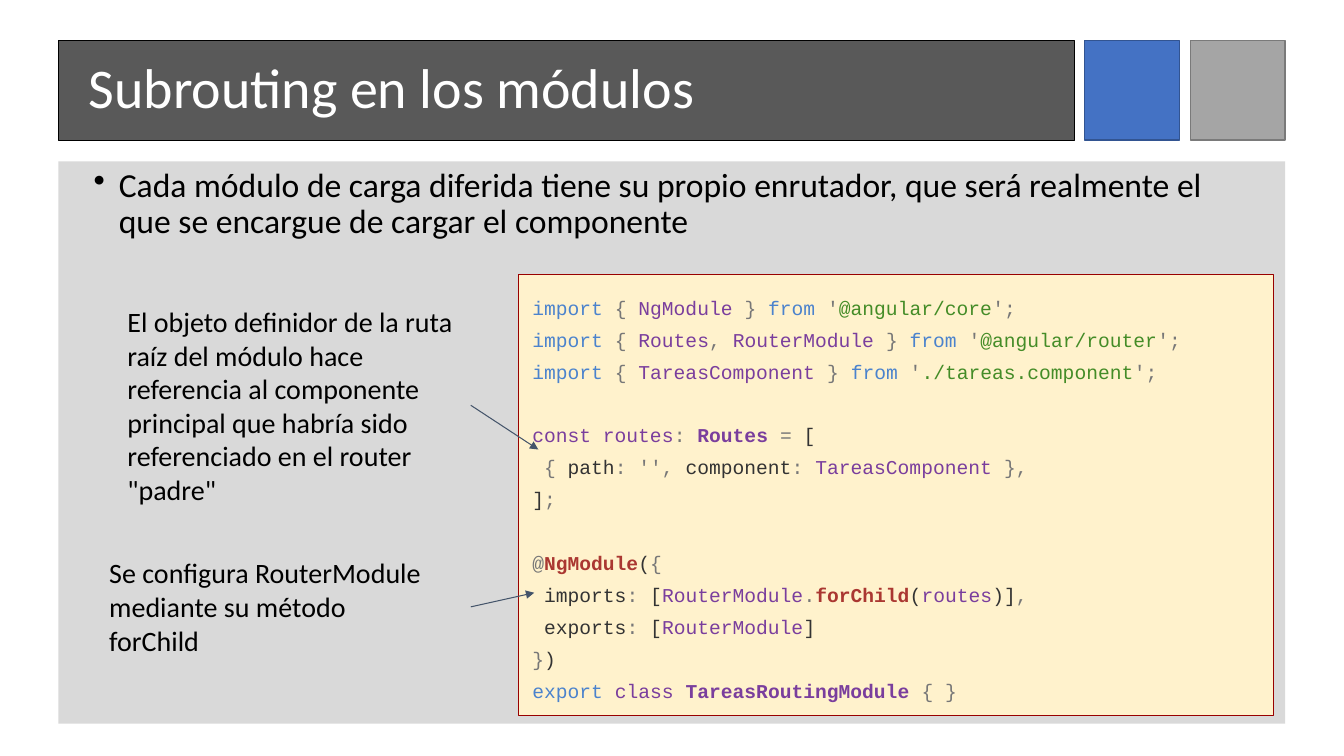
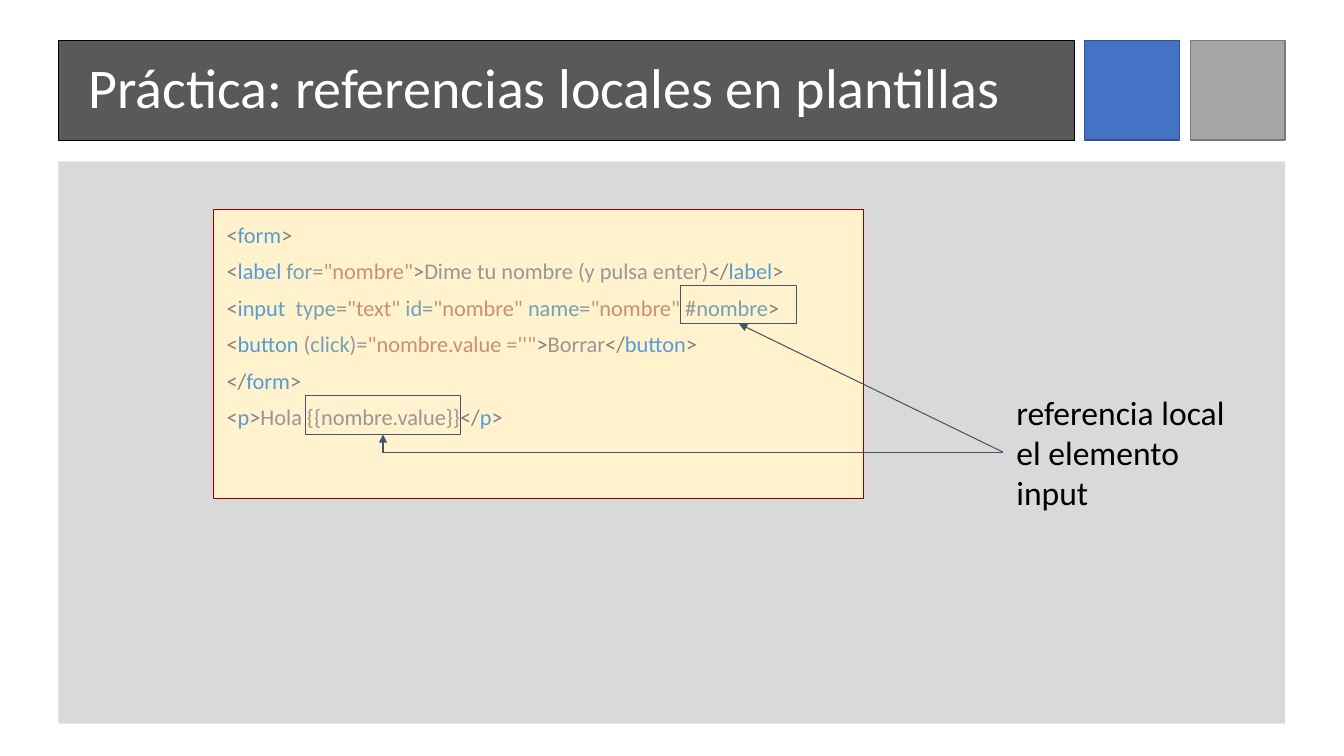
from dataclasses import dataclass
from typing import NamedTuple

from pptx import Presentation
from pptx.dml.color import RGBColor
from pptx.enum import shapes, text
from pptx.oxml import ns, xmlchemy
from pptx.util import Pt

WHITE = RGBColor(0xFF, 0xFF, 0xFF)
BLACK = RGBColor(0x00, 0x00, 0x00)
BAND = RGBColor(0x59, 0x59, 0x59)
PANEL = RGBColor(0xD9, 0xD9, 0xD9)
BLUE = RGBColor(0x44, 0x72, 0xC4)
NAVY = RGBColor(0x32, 0x54, 0x91)
SILVER = RGBColor(0xA5, 0xA5, 0xA5)
STONE = RGBColor(0x7A, 0x7A, 0x7A)
CREAM = RGBColor(0xFF, 0xF2, 0xCC)
WINE = RGBColor(0x98, 0x00, 0x00)
SLATE = RGBColor(0x44, 0x54, 0x6A)

# TypeScript colours
KEY = RGBColor(0x4B, 0x83, 0xCD)
MARK = RGBColor(0x77, 0x77, 0x77)
TYPE = RGBColor(0x7A, 0x3E, 0x9D)
QUOTE = RGBColor(0x44, 0x8C, 0x27)
PLAIN = RGBColor(0x33, 0x33, 0x33)
CALL = RGBColor(0xAA, 0x37, 0x31)

# HTML colours
EDGE = RGBColor(0x80, 0x80, 0x80)
TAG = RGBColor(0x56, 0x9C, 0xD6)
ATTR = RGBColor(0x72, 0xA1, 0xBA)
BODY = RGBColor(0x97, 0x97, 0x97)
VALUE = RGBColor(0xCA, 0x8F, 0x76)

SANS, MONO = "Calibri", "Courier New"
INSET = 9.6
TOP, MIDDLE = text.MSO_ANCHOR.TOP, text.MSO_ANCHOR.MIDDLE
TOP_SIDE, LEFT_SIDE, BOTTOM_SIDE, RIGHT_SIDE = range(4)


class Box(NamedTuple):
    x: float
    y: float
    w: float
    h: float


class Run(NamedTuple):
    text: str
    color: RGBColor
    bold: bool = False


@dataclass
class Row:
    runs: list[Run]
    gap: float = 0


@dataclass
class Tile:
    box: Box
    fill: RGBColor
    line: RGBColor | None = None
    width: float = 1


TITLE = Tile(Box(41.75, 28.8, 725.75, 71.3), BAND, BLACK, 0.5)
TILES = [
    Tile(Box(850.3, 28.8, 67.7, 71.3), SILVER, STONE),
    Tile(Box(774.7, 28.8, 67.7, 71.3), BLUE, NAVY),
    Tile(Box(41.75, 115.2, 876.25, 401.75), PANEL),
]


def draw(page, box: Box, fill=None, line=None, width: float = 0.75):
    shape = page.shapes.add_shape(shapes.MSO_SHAPE.RECTANGLE, *map(Pt, box))
    shape.shadow.inherit = False
    if fill is None:
        shape.fill.background()
    else:
        shape.fill.solid()
        shape.fill.fore_color.rgb = fill
    if line is None:
        shape.line.fill.background()
    else:
        shape.line.color.rgb = line
        shape.line.width = Pt(width)
    return shape


def pad(shape, inset: float, anchor=MIDDLE):
    frame = shape.text_frame
    frame.word_wrap = True
    frame.vertical_anchor = anchor
    frame.margin_left = frame.margin_right = Pt(inset)
    frame.margin_top = frame.margin_bottom = Pt(inset)
    return frame


def style(para, size: float, color=None, name: str = SANS) -> None:
    para.alignment = text.PP_ALIGN.LEFT
    para.font.size = Pt(size)
    para.font.name = name
    if color is not None:
        para.font.color.rgb = color


def start(deck, title: str):
    """Add a blank slide with the shared bands and a title."""
    page = deck.slides.add_slide(deck.slide_layouts[6])
    for tile in TILES:
        draw(page, tile.box, tile.fill, tile.line, tile.width)
    band = draw(page, TITLE.box, TITLE.fill, TITLE.line, TITLE.width)
    frame = pad(band, 3.6)
    frame.margin_left = Pt(21.6)
    para = frame.paragraphs[0]
    para.text = title
    para.line_spacing = 0.9
    style(para, 40, WHITE)
    return page


def label(page, box: Box, lines: list[str], size: float,
          anchor=MIDDLE, inset: float = INSET):
    shape = page.shapes.add_textbox(*map(Pt, box))
    frame = pad(shape, inset, anchor)
    for i, line in enumerate(lines):
        para = frame.add_paragraph() if i else frame.paragraphs[0]
        para.text = line
        style(para, size, BLACK)
    return shape


def bullet(para, indent: float) -> None:
    props = para._p.get_or_add_pPr()
    props.set("marL", str(Pt(indent)))
    props.set("indent", str(-Pt(indent)))
    mark = xmlchemy.OxmlElement("a:buChar")
    mark.set("char", "•")
    props.append(mark)


def code(page, box: Box, rows: list[Row], size: float, name: str,
         anchor=MIDDLE):
    shape = draw(page, box, CREAM, WINE)
    frame = pad(shape, INSET, anchor)
    for i, row in enumerate(rows):
        para = frame.add_paragraph() if i else frame.paragraphs[0]
        para.line_spacing = 1.36
        if row.gap:
            para.space_before = Pt(row.gap)
        style(para, size, name=name)
        for item in row.runs:
            run = para.add_run()
            run.text = item.text
            run.font.color.rgb = item.color
            if item.bold:
                run.font.bold = True
    return frame


def arrow(page, tail: tuple, head: tuple, bent: bool = False):
    kind = shapes.MSO_CONNECTOR.ELBOW if bent else shapes.MSO_CONNECTOR.STRAIGHT
    link = page.shapes.add_connector(kind, *map(Pt, tail + head))
    link.line.color.rgb = SLATE
    link.line.width = Pt(0.75)
    props = link._element.spPr
    if bent:  # a single corner
        props.find(ns.qn("a:prstGeom")).set("prst", "bentConnector2")
    tip = xmlchemy.OxmlElement("a:tailEnd")
    tip.set("type", "triangle")
    link.line._get_or_add_ln().append(tip)
    props.append(xmlchemy.OxmlElement("a:effectLst"))
    return link


def load(names: list[str], source: str) -> Row:
    """Return one import line."""
    runs = [Run("import ", KEY), Run("{ ", MARK)]
    for name in names[:-1]:
        runs += [Run(name, TYPE), Run(", ", MARK)]
    runs += [Run(names[-1] + " ", TYPE), Run("} ", MARK), Run("from ", KEY),
             Run("'", MARK), Run(source, QUOTE), Run("';", MARK)]
    return Row(runs)


def field(name: str) -> list[Run]:
    return [Run(" " + name, PLAIN), Run(":", MARK), Run(" [", PLAIN),
            Run("RouterModule", TYPE)]


def close(name: str) -> list[Run]:
    return [Run("</", EDGE), Run(name, TAG), Run(">", EDGE)]


def begin(name: str, *attrs: Run) -> list[Run]:
    return [Run("<", EDGE), Run(name, TAG), *attrs, Run(">", EDGE)]


def attr(name: str, value: str) -> list[Run]:
    return [Run(name, ATTR), Run("=", BODY), Run(value, VALUE)]


GAP = 22.7
ROUTES = [
    load(["NgModule"], "@angular/core"),
    load(["Routes", "RouterModule"], "@angular/router"),
    load(["TareasComponent"], "./tareas.component"),
    Row([Run("const routes", TYPE), Run(": ", MARK), Run("Routes ", TYPE, True),
         Run("=", MARK), Run(" [", PLAIN)], GAP),
    Row([Run(" {", MARK), Run(" path", PLAIN), Run(": '',", MARK),
         Run(" component", PLAIN), Run(": ", MARK),
         Run("TareasComponent ", TYPE), Run("},", MARK)]),
    Row([Run("]", PLAIN), Run(";", MARK)]),
    Row([Run("@", MARK), Run("NgModule", CALL, True), Run("(", PLAIN),
         Run("{", MARK)], GAP),
    Row(field("imports") + [Run(".", MARK), Run("forChild", CALL, True),
                            Run("(", PLAIN), Run("routes", TYPE),
                            Run(")]", PLAIN), Run(",", MARK)]),
    Row(field("exports") + [Run("]", PLAIN)]),
    Row([Run("}", MARK), Run(")", PLAIN)]),
    Row([Run("export ", KEY), Run("class ", TYPE),
         Run("TareasRoutingModule ", TYPE, True), Run("{ }", MARK)]),
]
FORM = [
    Row(begin("form")),
    Row(begin("label ", *attr("for", '"nombre"'))
        + [Run("Dime tu nombre (y pulsa enter)", BODY)] + close("label")),
    Row(begin("input ", *attr(" type", '"text" '), *attr("id", '"nombre" '),
              *attr("name", '"nombre" '), Run("#", BODY), Run("nombre", ATTR))),
    Row(begin("button", Run(" (", BODY), Run("click", ATTR), Run(")=", BODY),
              Run("\"nombre.value =''\"", VALUE))
        + [Run("Borrar", BODY)] + close("button")),
    Row(close("form")),
    Row(begin("p") + [Run("Hola {{nombre.value}}", BODY)] + close("p")),
]


def routing(deck) -> None:
    page = start(deck, "Subrouting en los módulos")
    intro = label(page, Box(61.9, 115.2, 823, 73.4), [
        "Cada módulo de carga diferida tiene su propio enrutador, que será "
        "realmente el que se encargue de cargar el componente"], 24, TOP, 5)
    para = intro.text_frame.paragraphs[0]
    bullet(para, 18)
    para.line_spacing = 0.9
    code(page, Box(370.6, 195.9, 538.9, 315.2), ROUTES, 14, MONO)
    root = label(page, Box(81.4, 211, 254.9, 157), [
        "El objeto definidor de la ruta raíz del módulo hace referencia al "
        "componente principal que habría sido referenciado en el router "
        '"padre"'], 20)
    child = label(page, Box(68.4, 387.4, 267.9, 92.2), [
        "Se configura RouterModule", "mediante su método", "forChild"], 20, TOP)
    for note, tail, head in ((child, (336.3, 433.5), (381.6, 423.4)),
                             (root, (336.3, 289.5), (384.5, 321.1))):
        arrow(page, tail, head).begin_connect(note, RIGHT_SIDE)


def local(deck) -> None:
    page = start(deck, "Práctica: referencias locales en plantillas")
    frame = code(page, Box(152.2, 149.8, 464.4, 206.6), FORM, 16, SANS, TOP)
    frame.margin_top = Pt(1)
    note = label(page, Box(716.4, 276.5, 169.9, 92.9),
                 ["referencia local el elemento input"], 24)
    draw(page, Box(218.2, 282.6, 110.9, 27.7), line=SLATE)
    name = draw(page, Box(486.4, 203.8, 82.8, 27.4), line=SLATE)
    tail = (716.4, 323)
    link = arrow(page, tail, (527.8, 231.2))
    link.begin_connect(note, LEFT_SIDE)
    link.end_connect(name, BOTTOM_SIDE)
    arrow(page, tail, (273.6, 310.3), bent=True)


def main() -> None:
    deck = Presentation()
    deck.slide_width, deck.slide_height = Pt(960), Pt(540)
    routing(deck)
    local(deck)
    deck.save("out.pptx")


if __name__ == "__main__":
    main()
